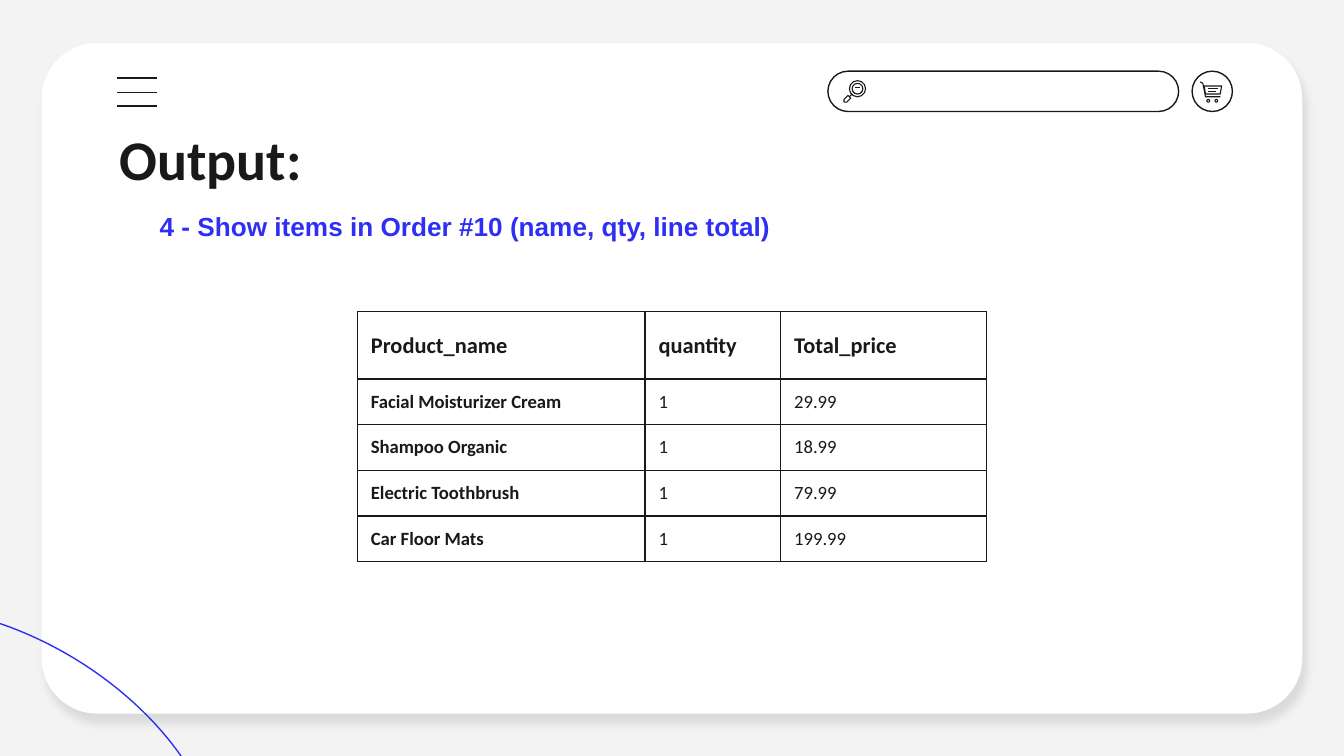
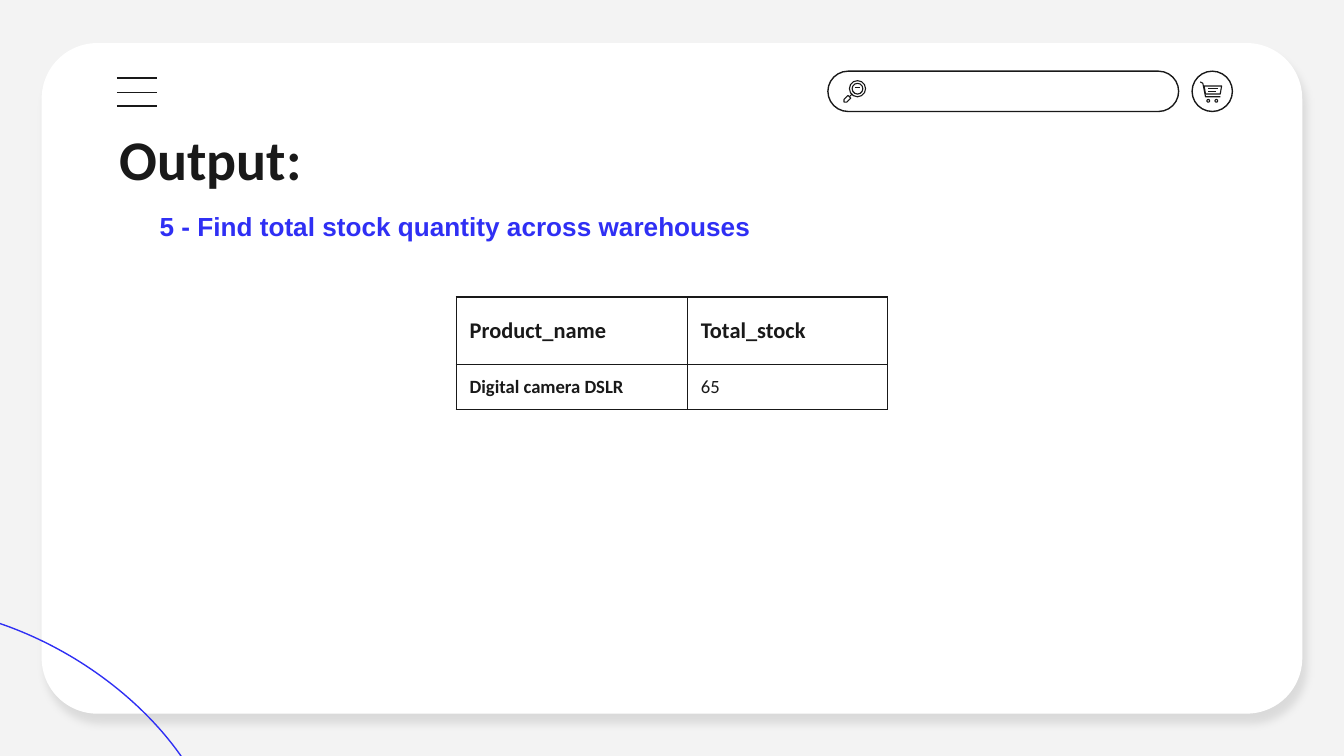
from lxml import etree
from pptx import Presentation
from pptx.dml.color import RGBColor
from pptx.enum.shapes import MSO_CONNECTOR, MSO_SHAPE
from pptx.enum.text import MSO_ANCHOR, MSO_AUTO_SIZE, PP_ALIGN
from pptx.oxml.ns import qn
from pptx.util import Inches, Pt

WIDTH = 10
HEIGHT = WIDTH * 9 / 16
INK, BLUE, WHITE, GREY = "191919", "2F2FF4", "FFFFFF", "F3F3F3"
HAIRLINE, ICON_LINE = 0.75, 0.6
HEADER_ROW, BODY_ROW = 0.5, 0.34

RESULTS = [
    {
        "query": "4 - Show items in Order #10 (name, qty, line total)",
        "query_width": 5.24,
        "top": 2.32,
        "columns": [2.14, 1.01, 1.53],
        "rows": [
            ("Product_name", "quantity", "Total_price"),
            ("Facial Moisturizer Cream", "1", "29.99"),
            ("Shampoo Organic", "1", "18.99"),
            ("Electric Toothbrush", "1", "79.99"),
            ("Car Floor Mats", "1", "199.99"),
        ],
    },
    {
        "query": "5 - Find total stock quantity across warehouses",
        "query_width": 5,
        "top": 2.21,
        "columns": [1.72, 1.49],
        "rows": [("Product_name", "Total_stock"), ("Digital camera DSLR", "65")],
    },
]

MENU_LINES = [((0.87, y), (1.17, y)) for y in (0.58, 0.69, 0.79)]
ICON_CIRCLES = [
    (6.32, 0.6, 0.12),
    (6.34, 0.62, 0.08),
    (8.98, 0.74, 0.02),
    (9.04, 0.74, 0.02),
]
ICON_LINES = [
    ((6.36, 0.65), (6.4, 0.65)),
    ((6.32, 0.72), (6.34, 0.7)),
    ((8.99, 0.66), (9.06, 0.66)),
    ((8.99, 0.68), (9.05, 0.68)),
]
MAGNIFIER_HANDLE = [(6.31, 0.71), (6.33, 0.73), (6.3, 0.76), (6.28, 0.76), (6.28, 0.74)]
CART_BASKET = [(8.96, 0.64), (9.09, 0.64), (9.08, 0.7), (8.97, 0.7)]
CART_FRAME = [(8.93, 0.61), (8.95, 0.62), (8.97, 0.72), (9.08, 0.72)]


def color(value):
    return RGBColor.from_string(value)


def inches(*values):
    return [Inches(value) for value in values]


def style_line(line, value, width):
    line.color.rgb = color(value)
    line.width = Pt(width)


def add_outline(shapes, kind, box, line=INK, width=HAIRLINE):
    shape = shapes.add_shape(kind, *inches(*box))
    shape.shadow.inherit = False
    shape.fill.background()
    style_line(shape.line, line, width)
    return shape


def add_line(shapes, start, end, width=HAIRLINE):
    connector = shapes.add_connector(MSO_CONNECTOR.STRAIGHT, *inches(*start, *end))
    style_line(connector.line, INK, width)
    etree.SubElement(connector._element.spPr, qn("a:effectLst"))


def add_path(shapes, points, close):
    start, *others = [inches(*point) for point in points]
    builder = shapes.build_freeform(*start)
    builder.add_line_segments(others, close=close)
    shape = builder.convert_to_shape()
    shape.shadow.inherit = False
    shape.fill.background()
    style_line(shape.line, INK, ICON_LINE)


def add_card(shapes):
    card = shapes.add_shape(MSO_SHAPE.ROUNDED_RECTANGLE, *inches(0.31, 0.32, 9.38, 4.99))
    card.adjustments[0] = 0.083
    card.fill.solid()
    card.fill.fore_color.rgb = color(WHITE)
    card.line.fill.background()
    effects = etree.SubElement(card._element.spPr, qn("a:effectLst"))
    shadow = etree.SubElement(effects, qn("a:outerShdw"), blurRad=str(Pt(4.5)),
                              dist=str(Pt(6)), dir=str(68 * 60000),
                              algn="bl", rotWithShape="0")
    tint = etree.SubElement(shadow, qn("a:srgbClr"), val="000000")
    etree.SubElement(tint, qn("a:alpha"), val="10000")


def add_browser_frame(layout, slide):
    for placeholder in list(layout.placeholders):
        if placeholder.placeholder_format.idx:
            placeholder._element.getparent().remove(placeholder._element)
    layout.background.fill.solid()
    layout.background.fill.fore_color.rgb = color(GREY)

    frame = slide.shapes.add_group_shape()
    shapes = frame.shapes
    add_card(shapes)
    arc = add_outline(shapes, MSO_SHAPE.OVAL, (-1.89, 4.73, 3.68, 2.31), BLUE)
    arc.rotation = 31.1
    for start, end in MENU_LINES:
        add_line(shapes, start, end)
    search = add_outline(shapes, MSO_SHAPE.ROUNDED_RECTANGLE, (6.16, 0.53, 2.61, 0.3))
    search.adjustments[0] = 0.5
    add_outline(shapes, MSO_SHAPE.OVAL, (8.87, 0.53, 0.3, 0.3))
    for left, top, size in ICON_CIRCLES:
        add_outline(shapes, MSO_SHAPE.OVAL, (left, top, size, size), width=ICON_LINE)
    for start, end in ICON_LINES:
        add_line(shapes, start, end, ICON_LINE)
    add_path(shapes, MAGNIFIER_HANDLE, True)
    add_path(shapes, CART_BASKET, True)
    add_path(shapes, CART_FRAME, False)
    layout.shapes._spTree.append(frame._element)


def write(text_frame, text, size, font_name, value, bold=True):
    text_frame.text = text
    paragraph = text_frame.paragraphs[0]
    paragraph.alignment = PP_ALIGN.LEFT
    font = paragraph.runs[0].font
    font.size = Pt(size)
    font.name = font_name
    font.bold = bold
    font.color.rgb = color(value)


def place_text(shape, box, anchor, *style):
    shape.left, shape.top, shape.width, shape.height = inches(*box)
    text_frame = shape.text_frame
    text_frame.word_wrap = True
    text_frame.auto_size = MSO_AUTO_SIZE.NONE
    text_frame.vertical_anchor = anchor
    text_frame.margin_left = text_frame.margin_right = Inches(0.1)
    text_frame.margin_top = text_frame.margin_bottom = Inches(0.1)
    write(text_frame, *style)


def add_borders(cell):
    properties = cell._tc.get_or_add_tcPr()
    for side in ("lnL", "lnR", "lnT", "lnB"):
        border = etree.SubElement(properties, qn(f"a:{side}"), w=str(Pt(HAIRLINE)))
        fill = etree.SubElement(border, qn("a:solidFill"))
        etree.SubElement(fill, qn("a:srgbClr"), val=INK)


def add_result_table(slide, result):
    rows, columns = result["rows"], result["columns"]
    heights = [HEADER_ROW] + [BODY_ROW] * (len(rows) - 1)
    width = sum(columns)
    table = slide.shapes.add_table(
        len(rows), len(columns),
        *inches((WIDTH - width) / 2, result["top"], width, sum(heights))).table
    table.first_row = table.horz_banding = False
    for column, column_width in zip(table.columns, columns):
        column.width = Inches(column_width)
    for row_index, (row, height) in enumerate(zip(rows, heights)):
        table.rows[row_index].height = Inches(height)
        header = row_index == 0
        for column_index, text in enumerate(row):
            cell = table.cell(row_index, column_index)
            add_borders(cell)
            cell.fill.background()
            cell.vertical_anchor = MSO_ANCHOR.MIDDLE
            cell.margin_left = cell.margin_right = Inches(0.1)
            cell.margin_top = cell.margin_bottom = Inches(0.05 if header else 0)
            write(cell.text_frame, text, 12 if header else 10, "Calibri", INK,
                  header or column_index == 0)


def main():
    presentation = Presentation()
    presentation.slide_width, presentation.slide_height = inches(WIDTH, HEIGHT)
    layout = presentation.slide_layouts[5]
    for index, result in enumerate(RESULTS):
        slide = presentation.slides.add_slide(layout)
        if index == 0:
            add_browser_frame(layout, slide)
        place_text(slide.shapes.title, (0.79, 0.83, 8.43, 0.63), MSO_ANCHOR.TOP,
                   "Output:", 30, "Calibri", INK)
        add_result_table(slide, result)
        query_box = (1.09, 1.4, result["query_width"], 0.5)
        place_text(slide.shapes.add_textbox(*inches(*query_box)), query_box,
                   MSO_ANCHOR.BOTTOM, result["query"], 14, "Arial", BLUE)
    presentation.save("out.pptx")


if __name__ == "__main__":
    main()
